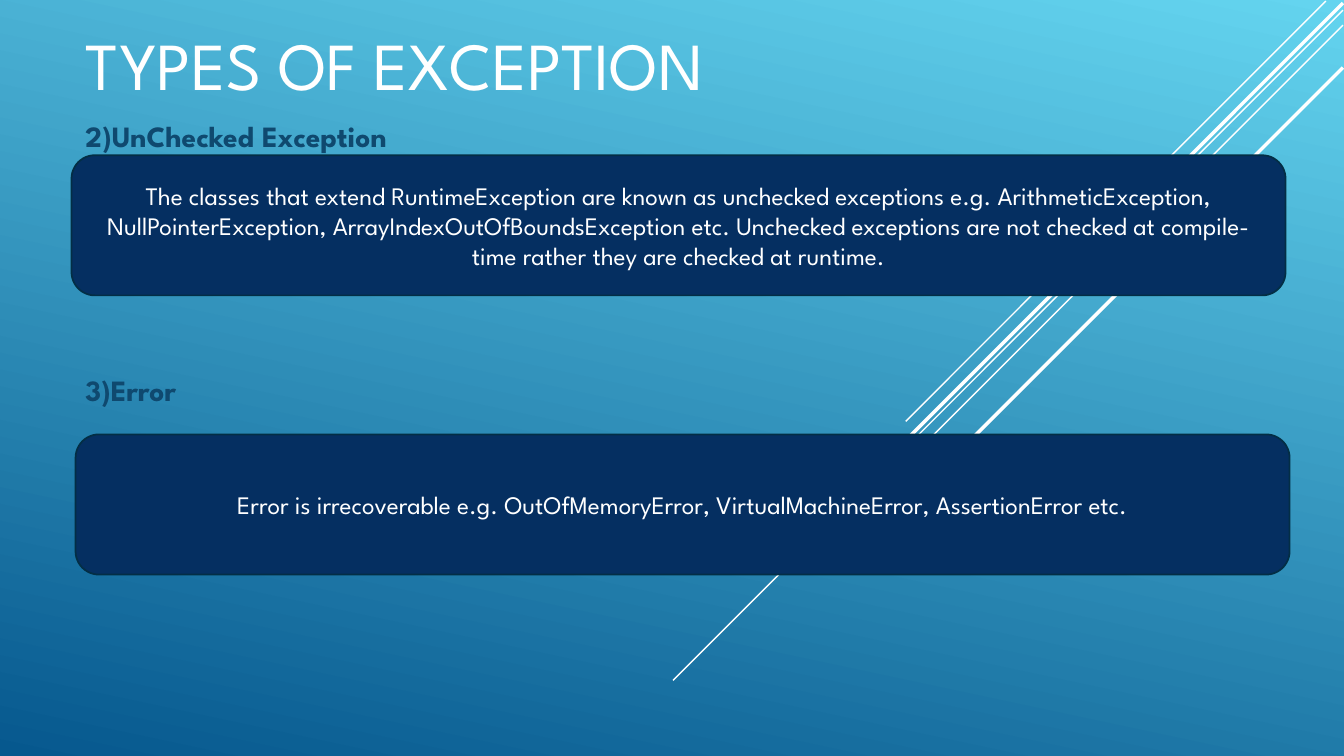
from lxml import etree
from pptx import Presentation
from pptx.dml.color import RGBColor
from pptx.enum.shapes import MSO_CONNECTOR, MSO_SHAPE
from pptx.enum.text import MSO_ANCHOR, MSO_AUTO_SIZE, PP_ALIGN
from pptx.oxml.ns import qn
from pptx.util import Inches, Pt

STRAIGHT = MSO_CONNECTOR.STRAIGHT
ROUNDED = MSO_SHAPE.ROUNDED_RECTANGLE
LEFT, CENTER = PP_ALIGN.LEFT, PP_ALIGN.CENTER
BOTTOM, MIDDLE = MSO_ANCHOR.BOTTOM, MSO_ANCHOR.MIDDLE

FONT = "League Spartan"
WHITE = RGBColor(0xFF, 0xFF, 0xFF)
SKY = RGBColor(0x64, 0xD4, 0xEF)
OCEAN = RGBColor(0x06, 0x58, 0x8E)
HEADING_BLUE = RGBColor(0x0F, 0x49, 0x6F)
PANEL_NAVY = RGBColor(0x05, 0x2F, 0x61)
PANEL_EDGE = RGBColor(0x03, 0x2E, 0x45)

MARGIN = 0.75
PANEL_WIDTH, PANEL_HEIGHT = 12.05, 1.39
HEADING_HEIGHT = 0.5

# Diagonal lines at 45 degrees: right end x, y, horizontal run, width in points
DIAGONALS = [
    (13.16, 0.01, 4.17, 1),
    (13.33, 0.10, 6.65, 1),
    (13.33, 0.25, 5.42, 1),
    (13.33, 0.03, 5.31, 2.5),
    (13.33, 0.67, 4.75, 2.5),
]

# Heading, heading top, panel left, panel top, panel text
SECTIONS = [
    ("2)UnChecked Exception", 1.1, 0.71, 1.54,
     "The classes that extend RuntimeException are known as unchecked exceptions "
     "e.g. ArithmeticException, NullPointerException, "
     "ArrayIndexOutOfBoundsException etc. Unchecked exceptions are not checked at "
     "compile-time rather they are checked at runtime."),
    ("3)Error", 3.62, MARGIN, 4.31,
     "Error is irrecoverable e.g. OutOfMemoryError, VirtualMachineError, "
     "AssertionError etc."),
]


def write_text(shape, text, size, color, alignment, anchor, bold=False):
    frame = shape.text_frame
    frame.text = text
    frame.word_wrap = True
    frame.auto_size = MSO_AUTO_SIZE.NONE
    frame.vertical_anchor = anchor
    paragraph = frame.paragraphs[0]
    paragraph.alignment = alignment
    font = paragraph.runs[0].font
    font.name, font.size, font.bold = FONT, Pt(size), bold
    font.color.rgb = color


presentation = Presentation()
presentation.slide_width = Inches(13.34)
presentation.slide_height = Inches(7.5)
slide = presentation.slides.add_slide(presentation.slide_layouts[5])

background = slide.background.fill
background.gradient()
background.gradient_angle = 258
for stop, color in zip(background.gradient_stops, (SKY, OCEAN)):
    stop.color.rgb = color

for right, top, run, width in DIAGONALS:
    diagonal = slide.shapes.add_connector(
        STRAIGHT, Inches(right), Inches(top), Inches(right - run), Inches(top + run))
    diagonal.line.color.rgb = WHITE
    diagonal.line.width = Pt(width)
    etree.SubElement(diagonal._element.spPr, qn("a:effectLst"))

title = slide.shapes.title
title.left, title.top = Inches(MARGIN), Inches(0.12)
title.width, title.height = Inches(8.75), Inches(0.96)
write_text(title, "TYPES OF EXCEPTION", 48, WHITE, LEFT, BOTTOM)

for heading, heading_top, panel_left, panel_top, text in SECTIONS:
    heading_box = slide.shapes.add_textbox(
        Inches(MARGIN), Inches(heading_top), Inches(PANEL_WIDTH), Inches(HEADING_HEIGHT))
    write_text(heading_box, heading, 21, HEADING_BLUE, LEFT, MIDDLE, bold=True)

    panel = slide.shapes.add_shape(
        ROUNDED, Inches(panel_left), Inches(panel_top),
        Inches(PANEL_WIDTH), Inches(PANEL_HEIGHT))
    panel.shadow.inherit = False
    panel.fill.solid()
    panel.fill.fore_color.rgb = PANEL_NAVY
    panel.line.color.rgb = PANEL_EDGE
    panel.line.width = Pt(1.25)
    write_text(panel, text, 18, WHITE, CENTER, MIDDLE)

presentation.save("out.pptx")
